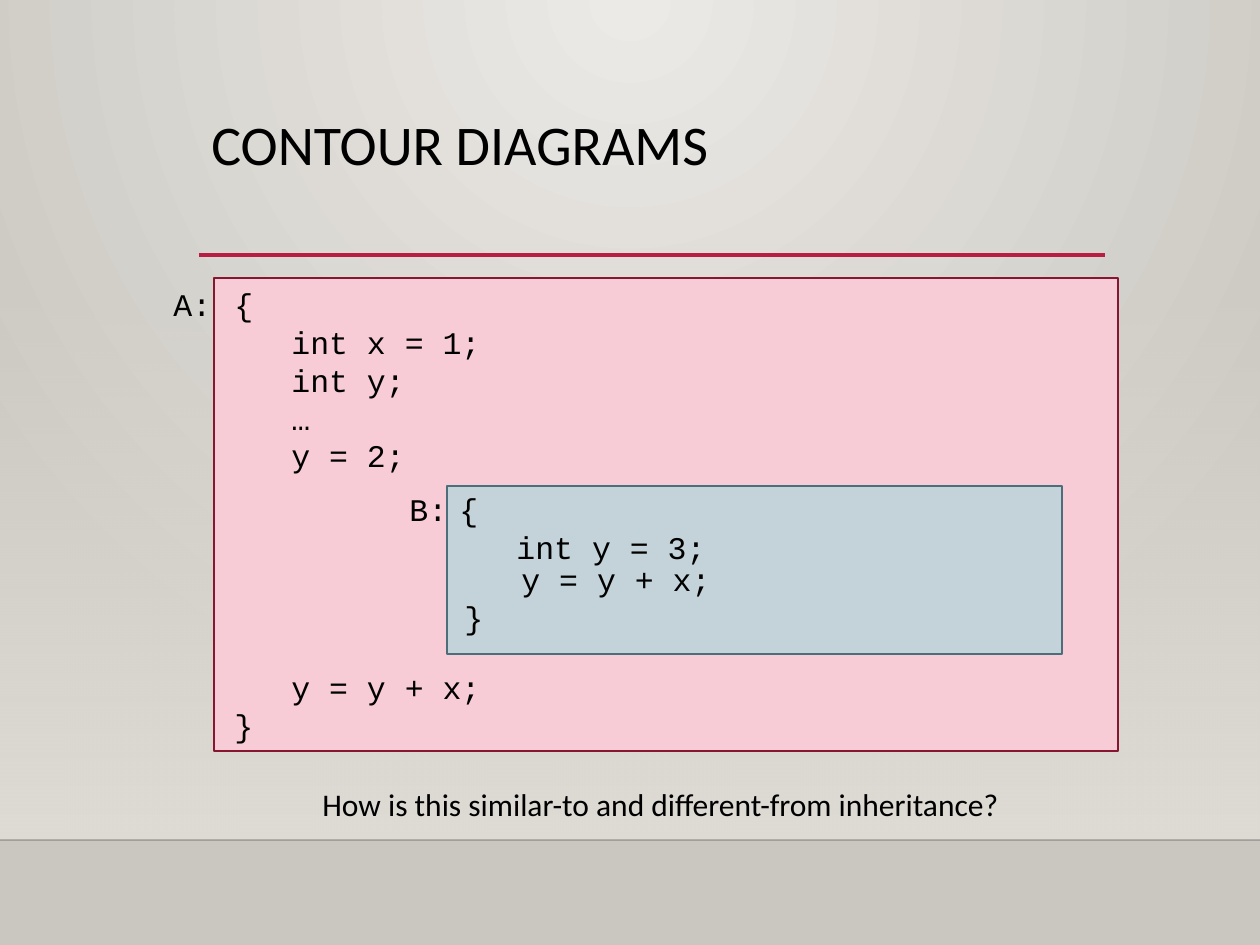
import pptx
import pptx.util
import pptx.dml.color
import pptx.enum.shapes
import pptx.enum.text
import pptx.oxml
import pptx.oxml.ns
import lxml.etree

RGB = pptx.dml.color.RGBColor
BLACK = RGB(0x00, 0x00, 0x00)
EDGE = RGB(0x00, 0x00, 0x01)
RED = RGB(0xB7, 0x1E, 0x42)
PINK = RGB(0xF7, 0xCC, 0xD6)
WINE = RGB(0x87, 0x16, 0x31)
BLUE = RGB(0xC3, 0xD3, 0xD9)
SLATE = RGB(0x4C, 0x6E, 0x7A)
PALE = RGB(0xEC, 0xEA, 0xE7)
GREY = RGB(0xCA, 0xC7, 0xC1)
SAND = RGB(0xDF, 0xDB, 0xD5)

CODE = "Courier New"
BODY = "Calibri"
TAB = 57  # three code characters
qn = pptx.oxml.ns.qn


def px(n):
    return pptx.util.Emu(round(n * 914400 / 126))


def sub(node, tag, **attrs):
    return lxml.etree.SubElement(node, qn(tag), **attrs)


def fade(color, part):
    """Set the opacity of a colour element, in percent."""
    sub(color, "a:alpha", val=str(part * 1000))


def blend(fill, start, end):
    fill.gradient()
    for stop, color in zip(fill.gradient_stops, (start, end)):
        stop.color.rgb = color


def rect(slide, x, y, w, h):
    kind = pptx.enum.shapes.MSO_SHAPE.RECTANGLE
    shape = slide.shapes.add_shape(kind, px(x), px(y), px(w), px(h))
    shape.shadow.inherit = False
    return shape


def block(slide, x, y, w, h, fill, edge):
    shape = rect(slide, x, y, w, h)
    shape.fill.solid()
    shape.fill.fore_color.rgb = fill
    shape.line.color.rgb = edge
    shape.line.width = pptx.util.Pt(1.25)


def rule(slide, x, y, end, color, width):
    kind = pptx.enum.shapes.MSO_CONNECTOR.STRAIGHT
    line = slide.shapes.add_connector(kind, px(x), px(y), px(end), px(y))
    line.line.color.rgb = color
    line.line.width = pptx.util.Pt(width)
    sub(line.element.spPr, "a:effectLst")
    return line


def write(slide, x, y, w, h, *rows, font=CODE, size=18, wrap=False, lead=None):
    """Each row is a text, or a pair of text and indent."""
    box = slide.shapes.add_textbox(px(x), px(y), px(w), px(h))
    frame = box.text_frame
    frame.word_wrap = wrap
    if not wrap:
        frame.auto_size = pptx.enum.text.MSO_AUTO_SIZE.SHAPE_TO_FIT_TEXT
    for i, row in enumerate(rows):
        text, left = (row, 0) if isinstance(row, str) else row
        para = frame.add_paragraph() if i else frame.paragraphs[0]
        if left:
            para._p.get_or_add_pPr().set("marL", str(px(left)))
        if lead:
            para.line_spacing = lead
        run = para.add_run()
        run.text = text
        run.font.name = font
        run.font.size = pptx.util.Pt(size)
        run.font.color.rgb = BLACK


def scene(slide):
    # Round glow behind the page
    blend(slide.background.fill, PALE, GREY)
    grad = slide.element.find(".//" + qn("a:gradFill"))
    grad.remove(grad.find(qn("a:lin")))
    glow = sub(grad, "a:path", path="circle")
    sub(glow, "a:fillToRect", l="43000", t="0", r="43000", b="100000")

    # Veil that thickens toward the floor
    veil = rect(slide, 0, 277, 1260, 563)
    blend(veil.fill, SAND, SAND)
    veil.fill.gradient_angle = 270
    veil.line.fill.background()
    fade(veil.element.spPr.find(".//" + qn("a:srgbClr")), 0)

    # Floor edge and title rule
    floor = rule(slide, 0, 840, 1260, EDGE, 1)
    fade(floor.element.spPr.find(".//" + qn("a:srgbClr")), 20)
    rule(slide, 199, 255, 1105, RED, 2.5)


def main():
    deck = pptx.Presentation()
    deck.slide_width, deck.slide_height = px(1260), px(945)
    slide = deck.slides.add_slide(deck.slide_layouts[6])
    scene(slide)

    # Outer contour
    block(slide, 214, 278, 904, 473, PINK, WINE)
    write(slide, 199, 111, 906, 145, "CONTOUR DIAGRAMS",
          font=BODY, size=32, wrap=True, lead=0.9)
    outer = ("int x = 1;", "int y;", "…", "y = 2;")
    write(slide, 222, 279, 272, 204, "{", *((row, TAB) for row in outer))
    write(slide, 161, 279, 63, 50, "A:")
    write(slide, 397, 484, 63, 50, "B:")

    # Inner contour
    block(slide, 447, 486, 615, 168, BLUE, SLATE)
    write(slide, 447, 484, 272, 89, "{", ("int y = 3;", TAB))

    # Question and closing lines of both contours
    write(slide, 310, 779, 712, 50,
          "How is this similar-to and different-from inheritance?", font=BODY)
    for x, y in ((222, 662), (452, 554)):
        write(slide, x, y, 272, 89, ("y = y + x;", TAB), "}")

    deck.save("out.pptx")


main()
